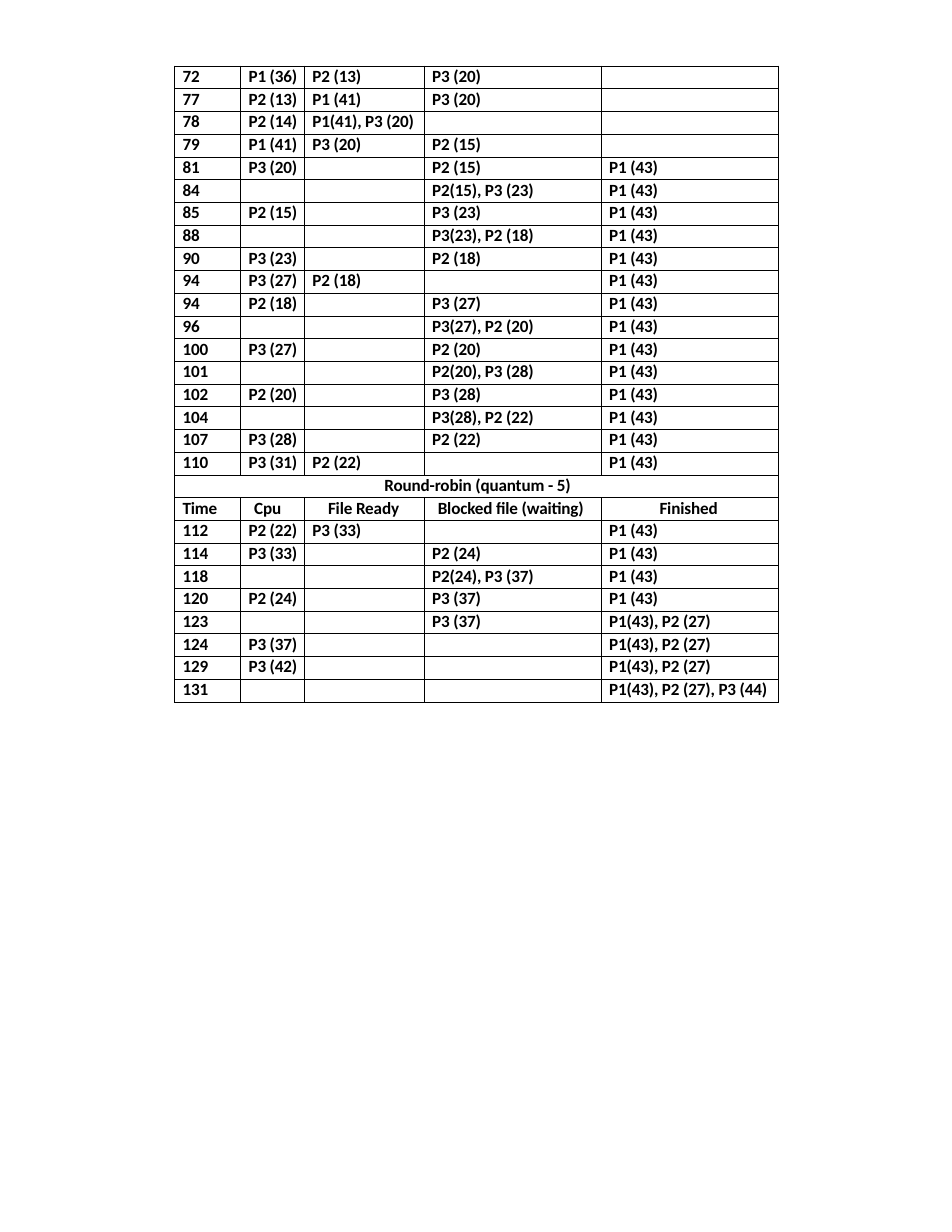
import lxml.etree
import pptx
import pptx.dml.color
import pptx.enum.text
import pptx.oxml.ns
import pptx.util

Inches = pptx.util.Inches
Pt = pptx.util.Pt
qn = pptx.oxml.ns.qn

BLACK = pptx.dml.color.RGBColor(0x00, 0x00, 0x00)
FONT = "Calibri"
FONT_SIZE = 11
LEFT, TOP, HEIGHT = 1.56, 0.59, 5.68
COLUMN_WIDTHS = [0.59, 0.57, 1.07, 1.58, 1.58]
CELL_INDENT = 0.07

# Time, CPU, ready, blocked, finished
STATES_BEFORE_TITLE = [
    ("72", "P1 (36)", "P2 (13)", "P3 (20)", ""),
    ("77", "P2 (13)", "P1 (41)", "P3 (20)", ""),
    ("78", "P2 (14)", "P1(41), P3 (20)", "", ""),
    ("79", "P1 (41)", "P3 (20)", "P2 (15)", ""),
    ("81", "P3 (20)", "", "P2 (15)", "P1 (43)"),
    ("84", "", "", "P2(15), P3 (23)", "P1 (43)"),
    ("85", "P2 (15)", "", "P3 (23)", "P1 (43)"),
    ("88", "", "", "P3(23), P2 (18)", "P1 (43)"),
    ("90", "P3 (23)", "", "P2 (18)", "P1 (43)"),
    ("94", "P3 (27)", "P2 (18)", "", "P1 (43)"),
    ("94", "P2 (18)", "", "P3 (27)", "P1 (43)"),
    ("96", "", "", "P3(27), P2 (20)", "P1 (43)"),
    ("100", "P3 (27)", "", "P2 (20)", "P1 (43)"),
    ("101", "", "", "P2(20), P3 (28)", "P1 (43)"),
    ("102", "P2 (20)", "", "P3 (28)", "P1 (43)"),
    ("104", "", "", "P3(28), P2 (22)", "P1 (43)"),
    ("107", "P3 (28)", "", "P2 (22)", "P1 (43)"),
    ("110", "P3 (31)", "P2 (22)", "", "P1 (43)"),
]
TITLE = "Round-robin (quantum - 5)"
HEADERS = ["Time", "Cpu", "File Ready", "Blocked file (waiting)", "Finished"]
HEADER_INDENTS = [0.07, 0.12, 0.21, 0.12, 0.52]
STATES_AFTER_TITLE = [
    ("112", "P2 (22)", "P3 (33)", "", "P1 (43)"),
    ("114", "P3 (33)", "", "P2 (24)", "P1 (43)"),
    ("118", "", "", "P2(24), P3 (37)", "P1 (43)"),
    ("120", "P2 (24)", "", "P3 (37)", "P1 (43)"),
    ("123", "", "", "P3 (37)", "P1(43), P2 (27)"),
    ("124", "P3 (37)", "", "", "P1(43), P2 (27)"),
    ("129", "P3 (42)", "", "", "P1(43), P2 (27)"),
    ("131", "", "", "", "P1(43), P2 (27), P3 (44)"),
]


def write_text(cell, text, indent=CELL_INDENT, align=None, spacing=-0.1):
    """Write bold text; spacing is the character spacing in points."""
    p = cell.text_frame.paragraphs[0]
    if not text:
        # An empty cell needs a small end mark, or its row grows taller.
        end = lxml.etree.SubElement(p._p, qn("a:endParaRPr"))
        end.set("sz", str(FONT_SIZE * 100))
        return
    p.alignment = align
    p.space_before = Pt(0.4)
    p._p.get_or_add_pPr().set("marL", str(Inches(indent)))
    r = p.add_run()
    r.text = text
    r.font.name = FONT
    r.font.size = Pt(FONT_SIZE)
    r.font.bold = True
    r.font.color.rgb = BLACK
    r._r.get_or_add_rPr().set("spc", str(round(spacing * 100)))


def style_cell(cell):
    """Remove margins and fill, and draw a thin line on every side."""
    cell.margin_left = cell.margin_right = cell.margin_top = cell.margin_bottom = 0
    tc_pr = cell._tc.get_or_add_tcPr()
    for side in ("a:lnL", "a:lnR", "a:lnT", "a:lnB"):
        line = lxml.etree.SubElement(tc_pr, qn(side), w=str(Pt(0.5)))
        fill = lxml.etree.SubElement(line, qn("a:solidFill"))
        lxml.etree.SubElement(fill, qn("a:srgbClr"), val=str(BLACK))
    cell.fill.background()


def add_grid(slide, row_count):
    table = slide.shapes.add_table(
        row_count, len(COLUMN_WIDTHS), Inches(LEFT), Inches(TOP),
        Inches(sum(COLUMN_WIDTHS)), Inches(HEIGHT)).table
    table.first_row = table.horz_banding = False
    for column, width in zip(table.columns, COLUMN_WIDTHS):
        column.width = Inches(width)
    for row in table.rows:
        row.height = Inches(HEIGHT / row_count)
        for cell in row.cells:
            style_cell(cell)
    return table


def write_states(table, first_row, states):
    for i, state in enumerate(states, first_row):
        for j, text in enumerate(state):
            # Two-digit times are set without tightening.
            write_text(table.cell(i, j), text, spacing=0 if len(text) == 2 else -0.1)


def write_title(table, row):
    title = table.cell(row, 0)
    title.merge(table.cell(row, len(COLUMN_WIDTHS) - 1))
    write_text(title, TITLE, indent=0.02, align=pptx.enum.text.PP_ALIGN.CENTER)


def write_headers(table, row):
    for j, (text, indent) in enumerate(zip(HEADERS, HEADER_INDENTS)):
        write_text(table.cell(row, j), text, indent=indent)


def main():
    prs = pptx.Presentation()
    prs.slide_width = Inches(8.5)
    prs.slide_height = Inches(11)
    slide = prs.slides.add_slide(prs.slide_layouts[6])

    title_row = len(STATES_BEFORE_TITLE)
    table = add_grid(slide, title_row + 2 + len(STATES_AFTER_TITLE))
    write_states(table, 0, STATES_BEFORE_TITLE)
    write_title(table, title_row)
    write_headers(table, title_row + 1)
    write_states(table, title_row + 2, STATES_AFTER_TITLE)
    prs.save("out.pptx")


if __name__ == "__main__":
    main()
